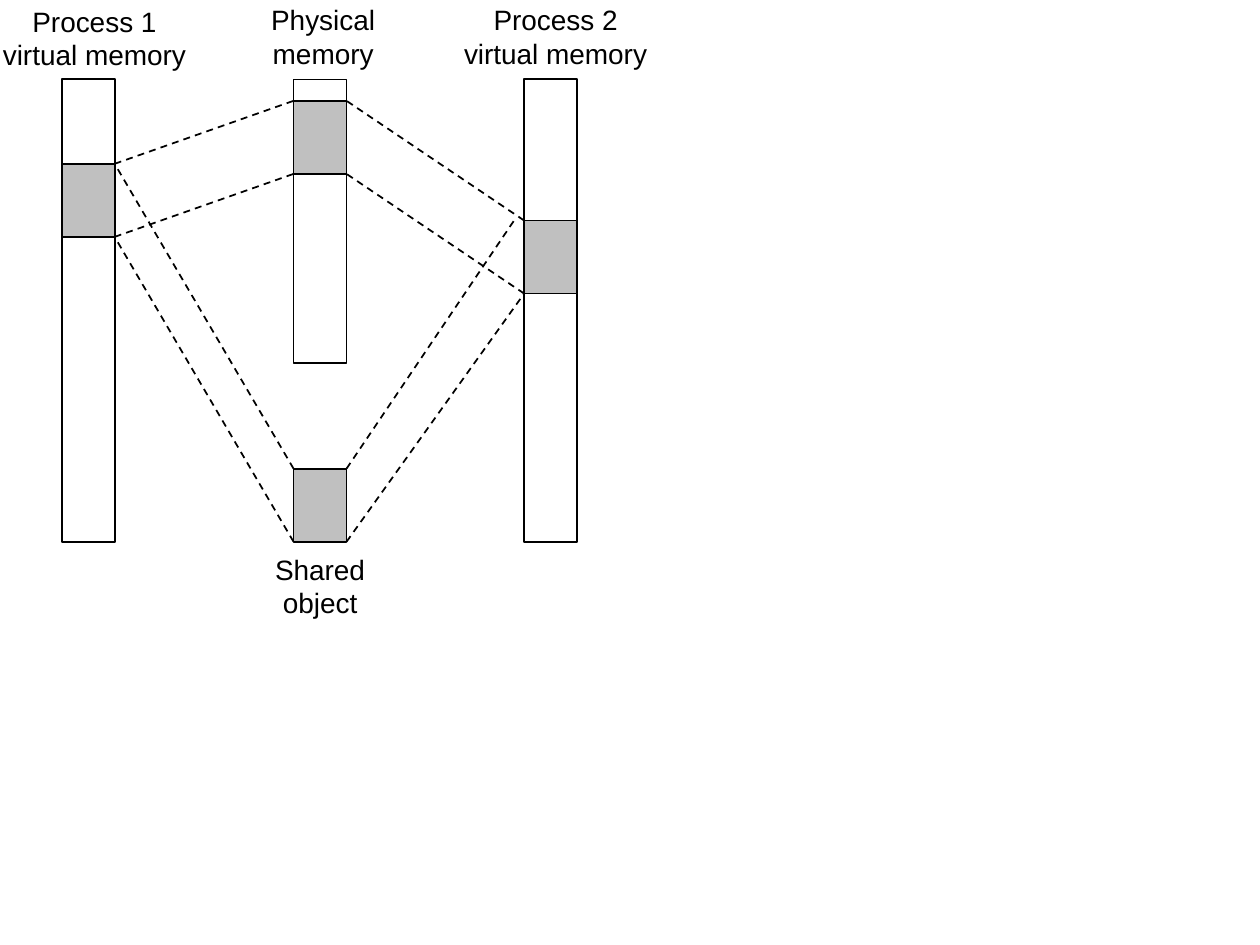
from lxml import etree
from pptx import Presentation
from pptx import util as u
from pptx.dml.color import RGBColor
from pptx.enum import dml, shapes, text
from pptx.oxml import ns

BLACK = RGBColor(0x00, 0x00, 0x00)
GRAY = RGBColor(0xC0, 0xC0, 0xC0)

BAR_WIDTH = 0.42
BLOCK_HEIGHT = 0.58
BAR_TOP = 0.63
PROCESS_1, MIDDLE, PROCESS_2 = 0.49, 2.33, 4.16


class Diagram:
    font = "Arial"
    size = u.Pt(16)
    weight = u.Pt(1)

    def __init__(self, page):
        self.page = page

    def bar(self, left, top, height, fill=None):
        box = self.page.shapes.add_shape(
            shapes.MSO_SHAPE.RECTANGLE, u.Inches(left), u.Inches(top),
            u.Inches(BAR_WIDTH), u.Inches(height))
        box.shadow.inherit = False
        if fill is None:
            box.fill.background()
        else:
            box.fill.solid()
            box.fill.fore_color.rgb = fill
        box.line.color.rgb = BLACK
        box.line.width = self.weight

    def block(self, left, top):
        self.bar(left, top, BLOCK_HEIGHT, GRAY)

    def dashed(self, x1, y1, x2, y2):
        line = self.page.shapes.add_connector(
            shapes.MSO_CONNECTOR.STRAIGHT,
            u.Inches(x1), u.Inches(y1), u.Inches(x2), u.Inches(y2))
        line.line.color.rgb = BLACK
        line.line.width = self.weight
        line.line.dash_style = dml.MSO_LINE.DASH
        properties = line._element.find(ns.qn("p:spPr"))
        etree.SubElement(properties, ns.qn("a:effectLst"))

    def label(self, left, top, width, lines):
        box = self.page.shapes.add_textbox(
            u.Inches(left), u.Inches(top), u.Inches(width), u.Inches(0.64))
        frame = box.text_frame
        frame.word_wrap = False
        frame.auto_size = text.MSO_AUTO_SIZE.SHAPE_TO_FIT_TEXT
        frame.vertical_anchor = text.MSO_ANCHOR.MIDDLE
        for index, words in enumerate(lines):
            para = frame.add_paragraph() if index else frame.paragraphs[0]
            para.alignment = text.PP_ALIGN.CENTER
            span = para.add_run()
            span.text = words
            span.font.name = self.font
            span.font.size = self.size
            span.font.color.rgb = BLACK


def main():
    deck = Presentation()
    deck.slide_width, deck.slide_height = u.Inches(10), u.Inches(7.5)
    diagram = Diagram(deck.slides.add_slide(deck.slide_layouts[6]))

    for left, height in ((MIDDLE, 2.25), (PROCESS_1, 3.67), (PROCESS_2, 3.67)):
        diagram.bar(left, BAR_TOP, height)

    shared, physical, first, second = 3.72, 0.8, 1.3, 1.75
    for left, top in ((MIDDLE, shared), (MIDDLE, physical),
                      (PROCESS_1, first), (PROCESS_2, second)):
        diagram.block(left, top)

    first_edge = PROCESS_1 + BAR_WIDTH
    middle_edge = MIDDLE + BAR_WIDTH
    for drop, shared_end in ((0, 4.08), (BLOCK_HEIGHT, PROCESS_2)):
        diagram.dashed(MIDDLE, shared + drop, first_edge, first + drop)
        diagram.dashed(middle_edge, shared + drop, shared_end, second + drop)
        diagram.dashed(first_edge, first + drop, MIDDLE, physical + drop)
        diagram.dashed(PROCESS_2, second + drop, middle_edge, physical + drop)

    diagram.label(2.08, 4.33, 0.92, ("Shared", "object"))
    diagram.label(2.05, -0.03, 1.03, ("Physical", "memory"))
    diagram.label(-0.08, -0.02, 1.66, ("Process 1", "virtual memory"))
    diagram.label(3.58, -0.03, 1.66, ("Process 2", "virtual memory"))

    deck.save("out.pptx")


if __name__ == "__main__":
    main()
